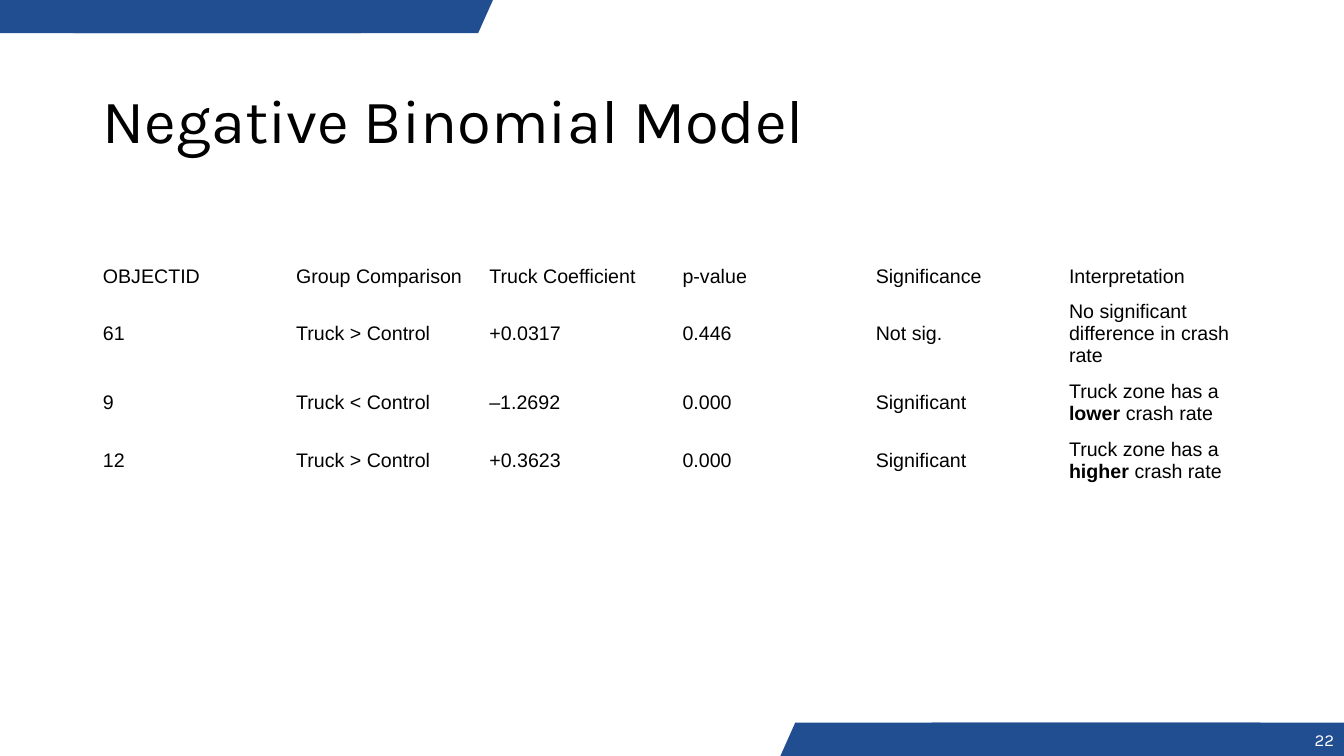
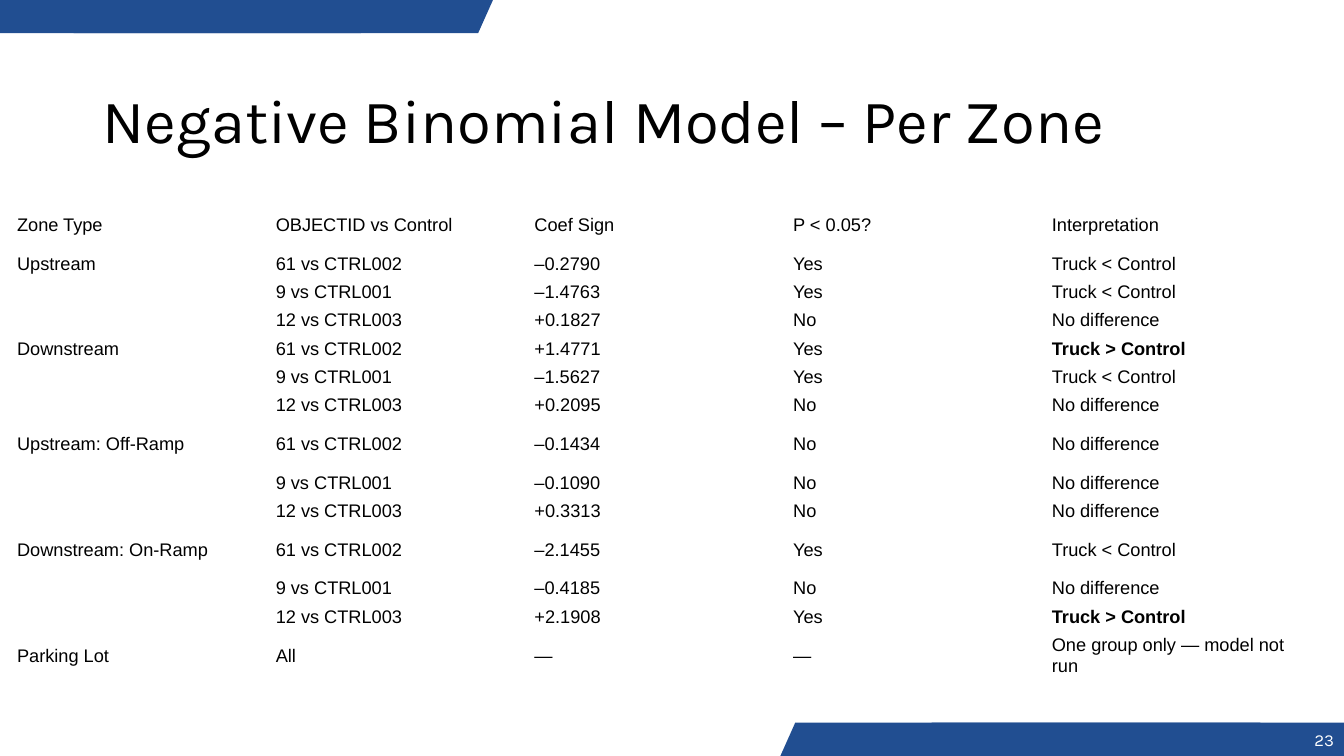
from dataclasses import dataclass

from lxml.etree import SubElement
from pptx import Presentation
from pptx.dml.color import RGBColor
from pptx.enum.shapes import MSO_SHAPE
from pptx.enum.text import MSO_ANCHOR, PP_ALIGN
from pptx.oxml.ns import qn
from pptx.slide import Slide
from pptx.util import Inches, Pt

COLORS = {"band": "214E91", "text": "000000", "page": "FFFFFF"}
HEAD, BODY = "Karla", "Arial"
WIDE, HIGH, DEEP = 13.33, 7.5, 0.33  # slide size and band depth


@dataclass
class Band:
    left: float
    top: float
    width: float
    slant: float = 0


@dataclass
class Grid:
    left: float
    top: float
    width: float
    size: int
    pad: tuple[float, float]  # side and top insets of a cell
    heights: list[float]
    rows: list[tuple[str, ...]]  # *stars* mark bold words


@dataclass
class Page:
    number: int
    title: str
    grid: Grid


FOOT = HIGH - DEEP
BANDS = [
    Band(7.74, FOOT, 4.76, 0.447),
    Band(9.24, FOOT, WIDE - 9.24),
    Band(0.73, 0, 4.16, 0.447),
    Band(0, 0, 3.58),
]

# Model results for each object
MODEL = Grid(
    0.92, 2.58, 11.5, 14, (0.1, 0.05), [0.32, 0.76, 0.54, 0.54],
    [
        ("OBJECTID", "Group Comparison", "Truck Coefficient", "p-value",
         "Significance", "Interpretation"),
        ("61", "Truck > Control", "+0.0317", "0.446", "Not sig.",
         "No significant difference in crash rate"),
        ("9", "Truck < Control", "–1.2692", "0.000", "Significant",
         "Truck zone has a *lower* crash rate"),
        ("12", "Truck > Control", "+0.3623", "0.000", "Significant",
         "Truck zone has a *higher* crash rate"),
    ],
)

# Model results for each zone
LOW, TALL = 0.28, 0.49
LESS, MORE, SAME = "Truck < Control", "*Truck > Control*", "No difference"
ZONES = Grid(
    0.1, 1.99, 12.83, 13, (0.07, 0.03),
    [TALL if row in (0, 7, 10, 13) else LOW for row in range(14)],
    [
        ("Zone Type", "OBJECTID vs Control", "Coef Sign", "P < 0.05?",
         "Interpretation"),
        ("Upstream", "61 vs CTRL002", "–0.2790", "Yes", LESS),
        ("", "9 vs CTRL001", "–1.4763", "Yes", LESS),
        ("", "12 vs CTRL003", "+0.1827", "No", SAME),
        ("Downstream", "61 vs CTRL002", "+1.4771", "Yes", MORE),
        ("", "9 vs CTRL001", "–1.5627", "Yes", LESS),
        ("", "12 vs CTRL003", "+0.2095", "No", SAME),
        ("Upstream: Off-Ramp", "61 vs CTRL002", "–0.1434", "No", SAME),
        ("", "9 vs CTRL001", "–0.1090", "No", SAME),
        ("", "12 vs CTRL003", "+0.3313", "No", SAME),
        ("Downstream: On-Ramp", "61 vs CTRL002", "–2.1455", "Yes", LESS),
        ("", "9 vs CTRL001", "–0.4185", "No", SAME),
        ("", "12 vs CTRL003", "+2.1908", "Yes", MORE),
        ("Parking Lot", "All", "—", "—", "One group only — model not run"),
    ],
)

PAGES = [
    Page(22, "Negative Binomial Model", MODEL),
    Page(23, "Negative Binomial Model – Per Zone", ZONES),
]


def style(para, face: str, size: int, color: str) -> None:
    para.font.name = face
    para.font.size = Pt(size)
    para.font.color.rgb = RGBColor.from_string(COLORS[color])


def add_band(slide: Slide, band: Band) -> None:
    kind = MSO_SHAPE.PARALLELOGRAM if band.slant else MSO_SHAPE.RECTANGLE
    shape = slide.shapes.add_shape(
        kind, Inches(band.left), Inches(band.top), Inches(band.width), Inches(DEEP))
    if band.slant:
        shape.adjustments[0] = band.slant
    shape.shadow.inherit = False
    shape.fill.solid()
    shape.fill.fore_color.rgb = RGBColor.from_string(COLORS["band"])
    shape.line.fill.background()


def add_title(slide: Slide, text: str) -> None:
    title = slide.shapes.title
    title.left, title.top = Inches(0.92), Inches(0.45)
    title.width, title.height = Inches(11.5), Inches(1.45)
    frame = title.text_frame
    frame.text = text
    frame.vertical_anchor = MSO_ANCHOR.MIDDLE
    para = frame.paragraphs[0]
    para.alignment = PP_ALIGN.LEFT
    style(para, HEAD, 44, "text")


def add_number(slide: Slide, number: int) -> None:
    box = slide.shapes.add_textbox(
        Inches(12.81), Inches(FOOT), Inches(0.52), Inches(DEEP))
    frame = box.text_frame
    frame.word_wrap = True
    frame.vertical_anchor = MSO_ANCHOR.MIDDLE
    frame.text = str(number)
    para = frame.paragraphs[0]
    para.alignment = PP_ALIGN.RIGHT
    style(para, HEAD, 12, "page")


def fill_cell(cell, text: str, grid: Grid) -> None:
    cell.fill.background()
    cell.vertical_anchor = MSO_ANCHOR.MIDDLE
    side, edge = grid.pad
    cell.margin_left = cell.margin_right = Inches(side)
    cell.margin_top = cell.margin_bottom = Inches(edge)
    para = cell.text_frame.paragraphs[0]
    style(para, BODY, grid.size, "text")
    for index, part in enumerate(text.split("*")):
        if part:
            run = para.add_run()
            run.text = part
            if index % 2:
                run.font.bold = True
    if not text:  # keeps an empty cell from stretching its row
        SubElement(para._p, qn("a:endParaRPr"), sz=str(grid.size * 100))


def add_grid(slide: Slide, grid: Grid) -> None:
    count = len(grid.rows[0])
    table = slide.shapes.add_table(
        len(grid.rows), count, Inches(grid.left), Inches(grid.top),
        Inches(grid.width), Inches(sum(grid.heights))).table
    table.first_row = table.horz_banding = False
    for column in table.columns:
        column.width = Inches(grid.width / count)
    for row, height, texts in zip(table.rows, grid.heights, grid.rows):
        row.height = Inches(height)
        for cell, text in zip(row.cells, texts):
            fill_cell(cell, text, grid)


def main() -> None:
    deck = Presentation()
    deck.slide_width, deck.slide_height = Inches(WIDE), Inches(HIGH)
    for page in PAGES:
        slide = deck.slides.add_slide(deck.slide_layouts[5])  # title only
        for band in BANDS:
            add_band(slide, band)
        add_title(slide, page.title)
        add_number(slide, page.number)
        add_grid(slide, page.grid)
    deck.save("out.pptx")


if __name__ == "__main__":
    main()
